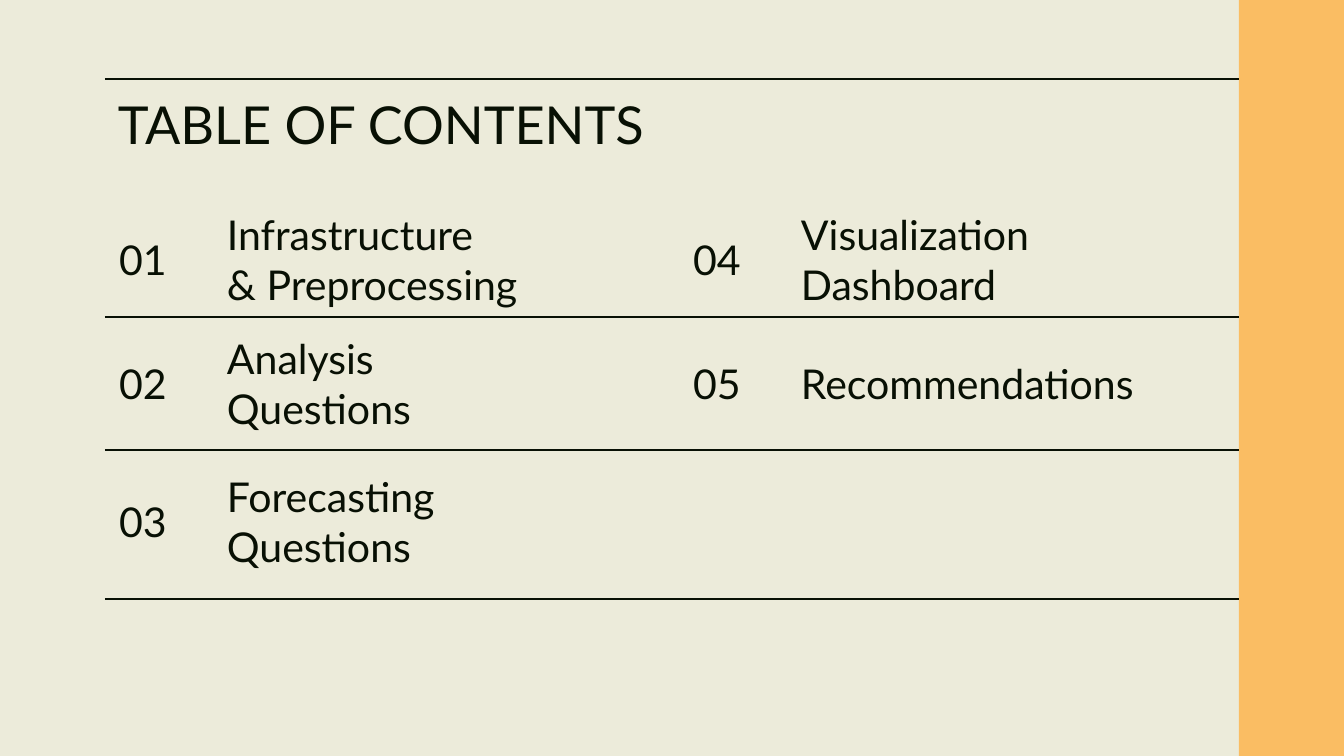
from pptx import Presentation
from pptx import util as u
from pptx.dml.color import RGBColor
from pptx.enum import shapes, text
from pptx.oxml.ns import qn
from lxml import etree

CREAM = RGBColor(0xEC, 0xEB, 0xDA)
ORANGE = RGBColor(0xFA, 0xBD, 0x63)
INK = RGBColor(0x08, 0x10, 0x04)
FONT = "Lato"
EMU_PER_PX = 914400 / 134.4

WIDTH, HEIGHT = 1344, 756
LEFT, RIGHT = 105, 1239
INSET = 13
NUMBER_WIDTH, ROW_HEIGHT = 108, 66
COLUMNS = [106, 680]
ROW_CENTERS = [259, 383, 521]
RULES = [79, 317, 450, 599]

# Topic lines and box width, filled down each column
TOPICS = [
    [(["Infrastructure", "& Preprocessing"], 339),
     (["Analysis Questions"], 250),
     (["Forecasting Questions"], 250)],
    [(["Visualization Dashboard"], 280),
     (["Recommendations"], 374)],
]


def px(value):
    return u.Emu(round(value * EMU_PER_PX))


def add_text(slide, box, lines, size, anchor=text.MSO_ANCHOR.MIDDLE):
    frame = slide.shapes.add_textbox(*map(px, box)).text_frame
    frame.word_wrap = True
    frame.vertical_anchor = anchor
    frame.margin_left = frame.margin_right = px(INSET)
    frame.margin_top = frame.margin_bottom = px(INSET)
    frame.text = "\n".join(lines)
    for paragraph in frame.paragraphs:
        paragraph.font.name = FONT
        paragraph.font.size = u.Pt(size)
        paragraph.font.color.rgb = INK


def add_rule(slide, y):
    rule = slide.shapes.add_connector(
        shapes.MSO_CONNECTOR.STRAIGHT, px(LEFT), px(y), px(RIGHT), px(y))
    rule.line.color.rgb = INK
    rule.line.width = u.Pt(0.75)
    etree.SubElement(rule._element.spPr, qn("a:effectLst"))


def add_side_band(slide):
    band = slide.shapes.add_shape(
        shapes.MSO_SHAPE.RECTANGLE, px(RIGHT), 0, px(WIDTH - RIGHT), px(HEIGHT))
    band.shadow.inherit = False
    band.fill.solid()
    band.fill.fore_color.rgb = ORANGE
    band.line.fill.background()


def add_entry(slide, number, x, center, lines, topic_width):
    top = center - ROW_HEIGHT // 2
    add_text(slide, (x, top, NUMBER_WIDTH, ROW_HEIGHT), [f"{number:02}"], 22)
    add_text(slide, (x + NUMBER_WIDTH, top, topic_width, ROW_HEIGHT), lines, 22)


def main():
    presentation = Presentation()
    presentation.slide_width, presentation.slide_height = px(WIDTH), px(HEIGHT)
    slide = presentation.slides.add_slide(presentation.slide_layouts[6])
    slide.background.fill.solid()
    slide.background.fill.fore_color.rgb = CREAM

    # Side band and heading
    add_side_band(slide)
    add_text(slide, (LEFT, RULES[0], RIGHT - LEFT, 85),
             ["TABLE OF CONTENTS"], 28, text.MSO_ANCHOR.TOP)

    # Numbered entries
    number = 1
    for x, topics in zip(COLUMNS, TOPICS):
        for center, (lines, topic_width) in zip(ROW_CENTERS, topics):
            add_entry(slide, number, x, center, lines, topic_width)
            number += 1

    # Horizontal rules
    for y in RULES:
        add_rule(slide, y)

    presentation.save("out.pptx")


if __name__ == "__main__":
    main()
